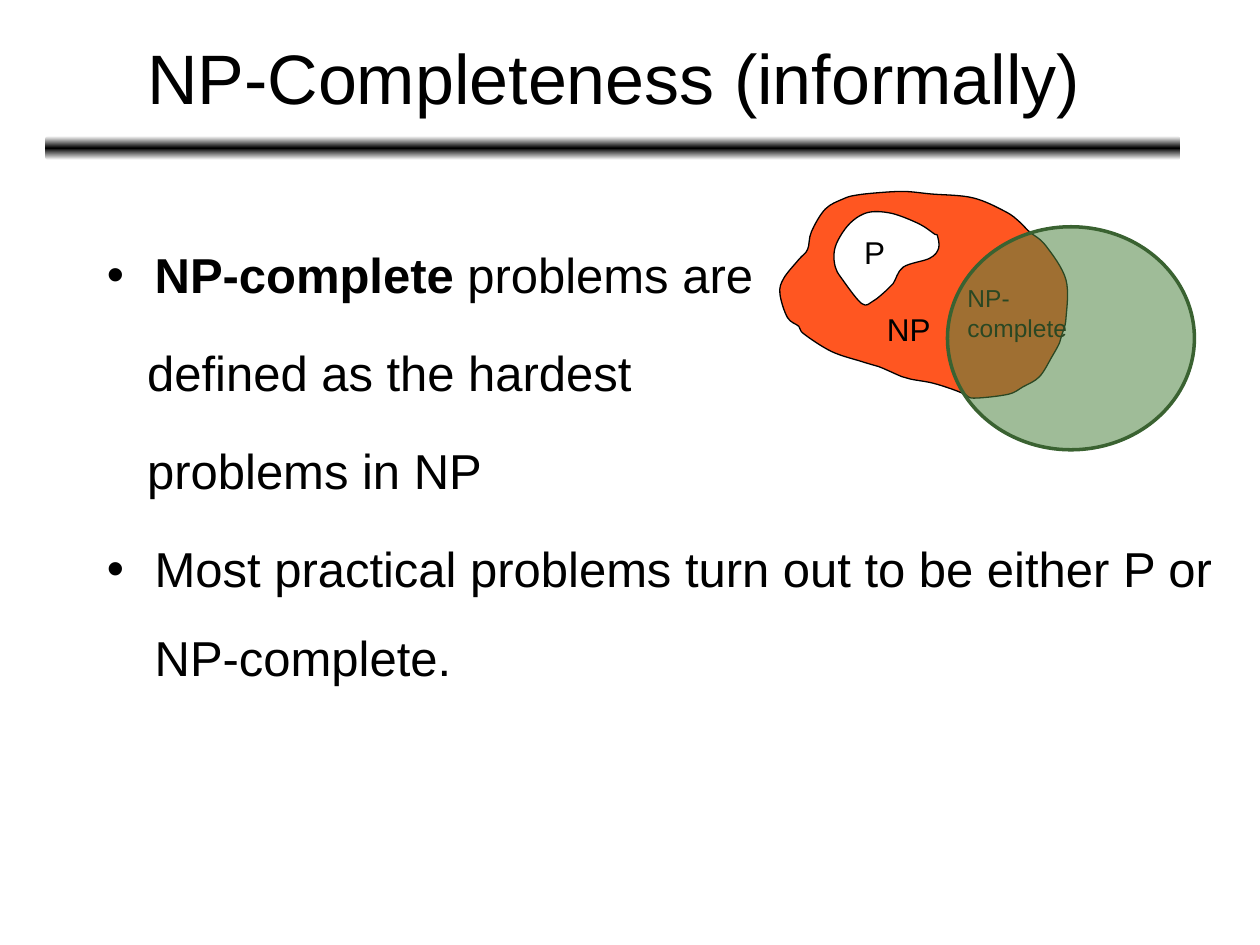
from copy import deepcopy
from typing import NamedTuple

from lxml import etree
from pptx import Presentation
from pptx.dml.color import RGBColor
from pptx.enum.shapes import MSO_SHAPE
from pptx.enum.text import MSO_ANCHOR, PP_ALIGN
from pptx.oxml.ns import qn
from pptx.util import Inches, Pt

ROUNDED, ELLIPSE = MSO_SHAPE.ROUNDED_RECTANGLE, MSO_SHAPE.OVAL
CENTER, LEFT = PP_ALIGN.CENTER, PP_ALIGN.LEFT
MIDDLE, TOP = MSO_ANCHOR.MIDDLE, MSO_ANCHOR.TOP
FONT = "Arial"
BLACK, WHITE, ORANGE = "000000", "FFFFFF", "FF5621"
GREEN, DARK_GREEN = "4E8542", "3A6231"


class Label(NamedTuple):
    """A text box with one uniformly formatted paragraph."""
    text: str
    box: tuple
    size: int
    wrap: bool = False
    align: PP_ALIGN = LEFT
    anchor: MSO_ANCHOR = TOP


class BodyLine(NamedTuple):
    """A body paragraph: bold lead, plain rest, and bullet or left indent."""
    lead: str
    rest: str
    bullet: bool


class Region(NamedTuple):
    """A closed smooth outline through the given points."""
    fill: str
    points: list


LABELS = [
    Label("NP-Completeness (informally)", (0.37, 0.11, 9, 0.99), 40, True, CENTER, MIDDLE),
    Label("P", (6.76, 1.8, 0.37, 0.4), 18),
    Label("NP", (6.94, 2.41, 0.55, 0.4), 18),
    Label("NP-complete", (7.58, 2.2, 1.01, 0.57), 14, True),
]
BODY = [
    BodyLine("NP-complete ", "problems are", True),
    BodyLine("", "defined as the hardest", False),
    BodyLine("", "problems in NP", False),
    BodyLine("", "Most practical problems turn out to be either P or NP-complete.", True),
]
REGIONS = [
    Region(ORANGE, [
        (6.97, 1.53), (6.79, 1.55), (6.69, 1.58), (6.55, 1.66), (6.44, 1.84),
        (6.41, 1.98), (6.34, 2.06), (6.22, 2.21), (6.19, 2.33), (6.25, 2.52),
        (6.34, 2.59), (6.38, 2.65), (6.6, 2.79), (6.84, 2.87), (6.94, 2.9),
        (7, 2.92), (7.16, 2.99), (7.23, 3.01), (7.4, 3.04), (7.56, 3.09),
        (7.66, 3.13), (7.73, 3.16), (8, 3.13), (8.12, 3.07), (8.25, 2.99),
        (8.35, 2.83), (8.41, 2.72), (8.43, 2.65), (8.46, 2.53), (8.46, 2.22),
        (8.3, 1.95), (8.17, 1.84), (8.09, 1.76), (7.98, 1.68), (7.72, 1.57),
        (7.39, 1.54), (7.18, 1.52)]),
    Region(WHITE, [
        (6.83, 1.71), (6.73, 1.79), (6.65, 1.91), (6.62, 2.01), (6.63, 2.12),
        (6.68, 2.21), (6.84, 2.41), (6.93, 2.39), (7.03, 2.31), (7.09, 2.25),
        (7.17, 2.12), (7.38, 2.05), (7.45, 1.97), (7.44, 1.87), (7.42, 1.86),
        (7.3, 1.78), (7.1, 1.7), (6.94, 1.68)]),
]


def color(value: str) -> RGBColor:
    """Turn a hex string into a colour."""
    return RGBColor.from_string(value)


def paint(shape, fill: str, line: str, width: float) -> None:
    """Set a solid fill and outline without a shadow."""
    shape.shadow.inherit = False
    shape.fill.solid()
    shape.fill.fore_color.rgb = color(fill)
    shape.line.color.rgb = color(line)
    shape.line.width = Pt(width)


def format_runs(paragraph, size: int) -> None:
    """Give every run of a paragraph the slide's font."""
    for run in paragraph.runs:
        run.font.name = FONT
        run.font.size = Pt(size)
        run.font.color.rgb = color(BLACK)


def add_box(slide, box: tuple, wrap: bool):
    """Add a text box and return its text frame."""
    shape = slide.shapes.add_textbox(*map(Inches, box))
    shape.text_frame.word_wrap = wrap
    return shape.text_frame


def add_label(slide, label: Label) -> None:
    """Draw one label."""
    text_frame = add_box(slide, label.box, label.wrap)
    text_frame.text = label.text
    text_frame.vertical_anchor = label.anchor
    paragraph = text_frame.paragraphs[0]
    paragraph.alignment = label.align
    format_runs(paragraph, label.size)


def add_body(slide) -> None:
    """Draw the bulleted text."""
    text_frame = add_box(slide, (0.75, 1.66, 9, 5.55), True)
    for index, line in enumerate(BODY):
        paragraph = text_frame.add_paragraph() if index else text_frame.paragraphs[0]
        if line.lead:
            paragraph.add_run().text = line.lead
            paragraph.runs[0].font.bold = True
        paragraph.add_run().text = line.rest
        paragraph.line_spacing = 1.5
        paragraph.space_before = Pt(5.6)
        format_runs(paragraph, 28)
        properties = paragraph._p.get_or_add_pPr()
        properties.set("marL", str(Inches(0.38 if line.bullet else 0.32)))
        properties.set("indent", str(Inches(-0.38 if line.bullet else 0)))
        if line.bullet:
            etree.SubElement(properties, qn("a:buFont")).set("typeface", FONT)
            etree.SubElement(properties, qn("a:buChar")).set("char", "•")


def smooth(shape) -> None:
    """Turn the straight sides of a closed freeform into Catmull-Rom curves."""
    outline = next(shape._element.iter(qn("a:path")))
    points = [(int(point.get("x")), int(point.get("y"))) for point in outline.iter(qn("a:pt"))]
    for side in outline.findall(qn("a:lnTo")):
        outline.remove(side)
    count = len(points)
    for index in range(count):
        before, start, end, after = (points[(index + shift) % count] for shift in (-1, 0, 1, 2))
        leaving = [s + (e - b) / 6 for b, s, e in zip(before, start, end)]
        arriving = [e - (a - s) / 6 for s, e, a in zip(start, end, after)]
        curve = etree.Element(qn("a:cubicBezTo"))
        for x, y in (leaving, arriving, end):
            point = etree.SubElement(curve, qn("a:pt"))
            point.set("x", str(round(x)))
            point.set("y", str(round(y)))
        outline.insert(index + 1, curve)


def add_region(slide, region: Region) -> None:
    """Draw one irregular set."""
    outline = [(Inches(x), Inches(y)) for x, y in region.points]
    builder = slide.shapes.build_freeform(*outline[0])
    builder.add_line_segments(outline[1:], close=True)
    shape = builder.convert_to_shape()
    smooth(shape)
    paint(shape, region.fill, BLACK, 0.75)


def add_title_bar(slide) -> None:
    """Draw the bar that fades from black to white at both edges."""
    bar = slide.shapes.add_shape(ROUNDED, *map(Inches, (0.36, 1.08, 9.01, 0.19)))
    bar.shadow.inherit = False
    bar.line.fill.background()
    bar.fill.gradient()
    bar.fill.gradient_angle = 90
    stops = bar._element.spPr.find(qn("a:gradFill")).find(qn("a:gsLst"))
    stops.insert(1, deepcopy(stops[0]))
    for stop, value, position in zip(bar.fill.gradient_stops, (WHITE, BLACK, WHITE), (0, 0.5, 1)):
        stop.color.rgb = color(value)
        stop.position = position


def add_complete_set(slide) -> None:
    """Draw the translucent NP-complete ellipse."""
    ellipse = slide.shapes.add_shape(ELLIPSE, *map(Inches, (7.52, 1.8, 1.96, 1.77)))
    paint(ellipse, GREEN, DARK_GREEN, 2)
    solid = ellipse._element.spPr.find(qn("a:solidFill"))
    etree.SubElement(solid[0], qn("a:alpha")).set("val", "54000")


def main() -> None:
    """Build and save the slide."""
    presentation = Presentation()
    presentation.slide_width, presentation.slide_height = Inches(10), Inches(7.5)
    slide = presentation.slides.add_slide(presentation.slide_layouts[6])
    add_title_bar(slide)
    add_body(slide)
    for region in REGIONS:
        add_region(slide, region)
    for label in LABELS:
        add_label(slide, label)
    add_complete_set(slide)
    presentation.save("out.pptx")


main()
